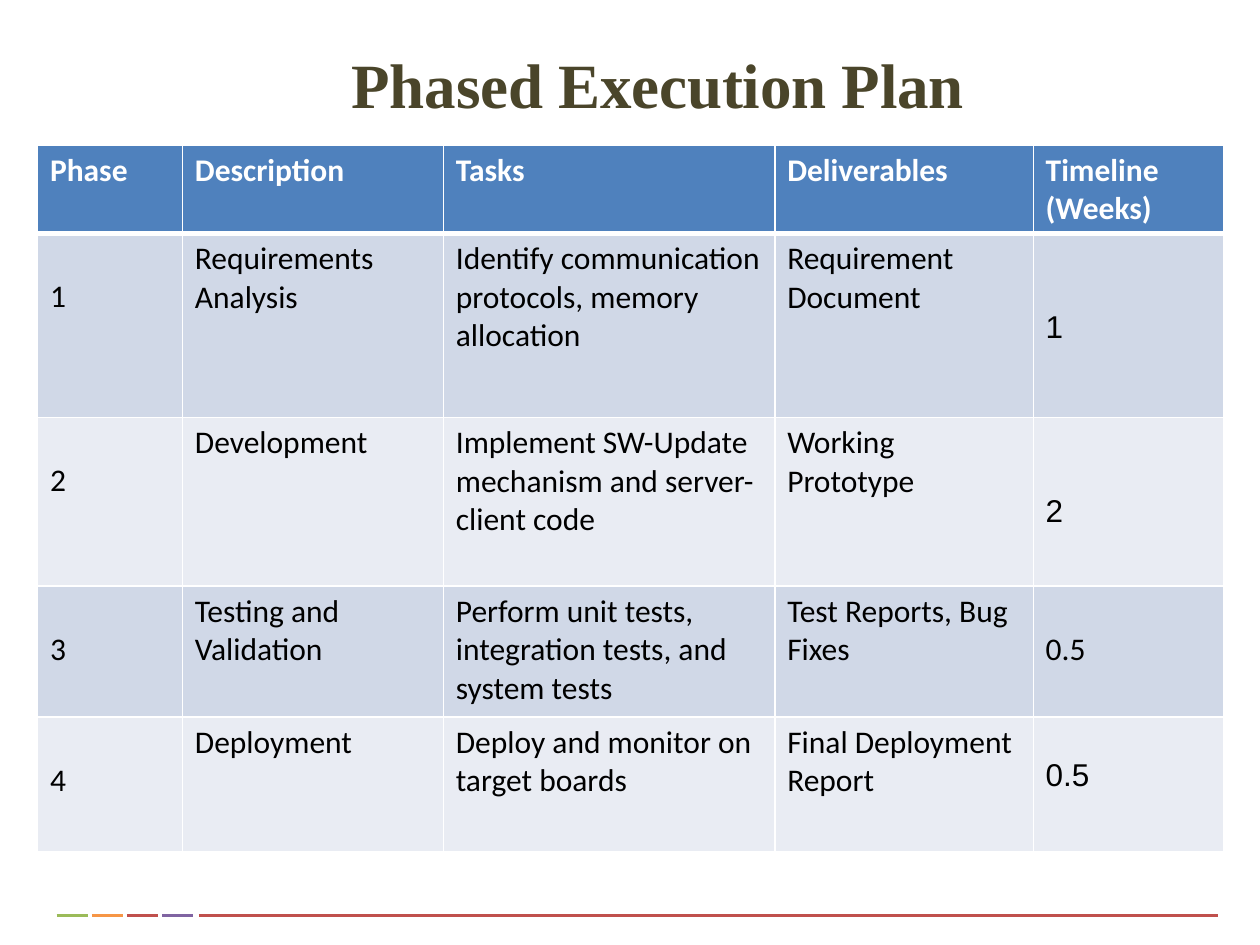
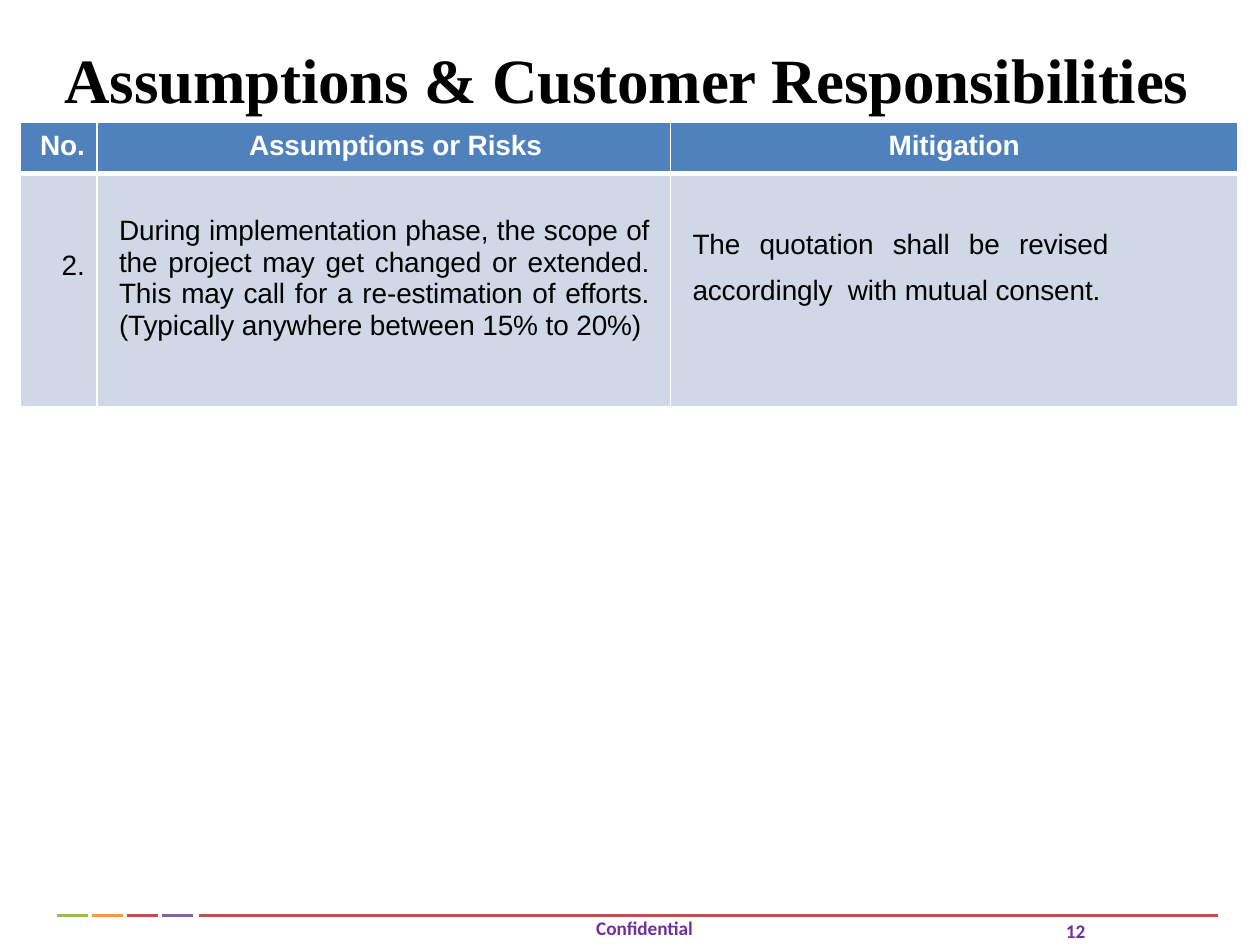
from dataclasses import dataclass, replace
from typing import Optional

from lxml import etree
from pptx import Presentation
from pptx import util as u
from pptx.dml.color import RGBColor
from pptx.enum import shapes, text
from pptx.oxml import ns

ALIGN = text.PP_ALIGN


@dataclass(frozen=True)
class Theme:
    white: str = "FFFFFF"
    black: str = "000000"
    olive: str = "4A452A"
    purple: str = "7030A0"
    header: str = "4F81BD"
    bands: tuple[str, str] = ("D0D8E7", "E9ECF3")
    rule: str = "C0504D"
    dashes: tuple[str, ...] = ("9BBB59", "F69646", "C0504D", "8064A2")
    title_font: str = "Times New Roman"
    body_font: str = "Calibri"
    plain_font: str = "Arial"
    title_size: float = 36
    phase_size: float = 18
    risk_size: float = 16
    footer_size: float = 11
    rule_width: float = 2
    grid_width: float = 0.96
    header_rule_width: float = 3


THEME = Theme()


@dataclass(frozen=True)
class TextStyle:
    font: str
    size: float
    color: str
    bold: bool = False
    align: ALIGN = ALIGN.LEFT
    line_points: Optional[float] = None
    tracking: int = 0


@dataclass(frozen=True)
class Box:
    left: float
    top: float
    width: float
    height: float


@dataclass(frozen=True)
class Cell:
    text: str
    style: TextStyle
    top: float = 0.13
    left: float = 0.25
    right: float = 0.25


@dataclass(frozen=True)
class Grid:
    left: float
    top: float
    columns: tuple[float, ...]
    rows: tuple[float, ...]
    cells: list[list[Cell]]


TITLE = TextStyle(THEME.title_font, THEME.title_size, THEME.black, True, tracking=-10)
FOOTER = TextStyle(THEME.body_font, THEME.footer_size, THEME.purple, True,
                   line_points=11.4, tracking=-5)
PHASE = TextStyle(THEME.body_font, THEME.phase_size, THEME.black)
PHASE_PLAIN = replace(PHASE, font=THEME.plain_font)
PHASE_HEADER = replace(PHASE, color=THEME.white, bold=True)
RISK = TextStyle(THEME.plain_font, THEME.risk_size, THEME.black, tracking=-5)
RISK_HEADER = replace(RISK, color=THEME.white, bold=True, line_points=18.9)


def write_text(frame, content: str, style: TextStyle) -> None:
    paragraph = frame.paragraphs[0]
    paragraph.alignment = style.align
    if style.line_points:
        paragraph.line_spacing = u.Pt(style.line_points)
    run = paragraph.add_run()
    run.text = content
    run.font.name = style.font
    run.font.size = u.Pt(style.size)
    run.font.bold = style.bold
    run.font.color.rgb = RGBColor.from_string(style.color)
    if style.tracking:
        run._r.get_or_add_rPr().set("spc", str(style.tracking))


def add_text(slide, box: Box, content: str, style: TextStyle) -> None:
    shape = slide.shapes.add_textbox(u.Cm(box.left), u.Cm(box.top),
                                     u.Cm(box.width), u.Cm(box.height))
    frame = shape.text_frame
    frame.word_wrap = True
    frame.margin_left = frame.margin_right = frame.margin_top = frame.margin_bottom = 0
    write_text(frame, content, style)


def add_rule(slide, left: float, width: float, color: str) -> None:
    height = u.Cm(18.46)
    line = slide.shapes.add_connector(shapes.MSO_CONNECTOR.STRAIGHT, u.Cm(left), height,
                                      u.Cm(left + width), height)
    line.line.color.rgb = RGBColor.from_string(color)
    line.line.width = u.Pt(THEME.rule_width)
    etree.SubElement(line._element.spPr, ns.qn("a:effectLst"))


def add_footer_rules(slide) -> None:
    add_rule(slide, 4.01, 20.55, THEME.rule)
    for index, color in enumerate(THEME.dashes):
        add_rule(slide, 1.14 + 0.71 * index, 0.63, color)


def set_borders(cell, row: int) -> None:
    properties = cell._tc.get_or_add_tcPr()
    widths = dict.fromkeys(("lnL", "lnR", "lnT", "lnB"), THEME.grid_width)
    if row == 0:
        widths["lnB"] = THEME.header_rule_width
    elif row == 1:
        widths["lnT"] = THEME.header_rule_width
    for side, width in widths.items():
        line = etree.SubElement(properties, ns.qn(f"a:{side}"), w=str(u.Pt(width)))
        fill = etree.SubElement(line, ns.qn("a:solidFill"))
        etree.SubElement(fill, ns.qn("a:srgbClr"), val=THEME.white)


def add_grid(slide, grid: Grid) -> None:
    frame = slide.shapes.add_table(len(grid.rows), len(grid.columns), u.Cm(grid.left),
                                   u.Cm(grid.top), u.Cm(sum(grid.columns)),
                                   u.Cm(sum(grid.rows)))
    table = frame.table
    for column, width in zip(table.columns, grid.columns):
        column.width = u.Cm(width)
    for row, height in zip(table.rows, grid.rows):
        row.height = u.Cm(height)
    for row_index, row_cells in enumerate(grid.cells):
        color = THEME.bands[(row_index - 1) % 2] if row_index else THEME.header
        for column_index, content in enumerate(row_cells):
            cell = table.cell(row_index, column_index)
            set_borders(cell, row_index)
            cell.fill.solid()
            cell.fill.fore_color.rgb = RGBColor.from_string(color)
            cell.margin_top = u.Cm(content.top)
            cell.margin_left = u.Cm(content.left)
            cell.margin_right = u.Cm(content.right)
            write_text(cell.text_frame, content.text, content.style)


def phase_row(number: str, description: str, tasks: str, deliverable: str,
              weeks: Cell) -> list[Cell]:
    middle = [Cell(content, PHASE) for content in (description, tasks, deliverable)]
    return [Cell(number, PHASE, top=0.9), *middle, weeks]


def build_plan(slide) -> None:
    add_text(slide, Box(2.49, 0.91, 21.54, 1.52), "Phased Execution Plan",
             replace(TITLE, color=THEME.olive, align=ALIGN.CENTER))
    headings = ("Phase", "Description", "Tasks", "Deliverables", "Timeline (Weeks)")
    add_grid(slide, Grid(
        0.76, 2.92, (2.92, 5.26, 6.68, 5.21, 3.84), (1.78, 3.71, 3.4, 2.64, 2.72),
        [
            [Cell(heading, PHASE_HEADER) for heading in headings],
            phase_row("1", "Requirements Analysis",
                      "Identify communication protocols, memory allocation",
                      "Requirement Document", Cell("1", PHASE_PLAIN, top=1.55)),
            phase_row("2", "Development",
                      "Implement SW-Update mechanism and server-client code",
                      "Working Prototype", Cell("2", PHASE_PLAIN, top=1.55)),
            phase_row("3", "Testing and Validation",
                      "Perform unit tests, integration tests, and system tests",
                      "Test Reports, Bug Fixes", Cell("0.5", PHASE, top=0.9)),
            phase_row("4", "Deployment", "Deploy and monitor on target boards",
                      "Final Deployment Report", Cell("0.5", PHASE_PLAIN, top=0.83)),
        ]))


def build_assumptions(slide) -> None:
    add_text(slide, Box(1.3, 0.82, 23.2, 1.6), "Assumptions & Customer Responsibilities",
             TITLE)
    add_text(slide, Box(12.02, 18.54, 2.2, 0.5), "Confidential", FOOTER)
    add_text(slide, Box(21.49, 18.59, 0.6, 0.45), "12", FOOTER)
    add_grid(slide, Grid(
        0.41, 2.46, (1.55, 11.56, 11.43), (1.04, 4.7),
        [
            [
                Cell("No.", replace(RISK_HEADER, align=ALIGN.RIGHT)),
                Cell("Assumptions or Risks", RISK_HEADER, left=3.06),
                Cell("Mitigation", replace(RISK_HEADER, align=ALIGN.CENTER)),
            ],
            [
                Cell("2.", replace(RISK, align=ALIGN.RIGHT), top=1.55),
                Cell("During implementation phase, the scope of the project may get "
                     "changed or extended. This may call for a re-estimation of "
                     "efforts. (Typically anywhere between 15% to 20%)",
                     replace(RISK, align=ALIGN.JUSTIFY, line_points=18.1),
                     top=0.83, left=0.44, right=0.42),
                Cell("The quotation shall be revised accordingly  with mutual consent.",
                     replace(RISK, align=ALIGN.JUSTIFY, line_points=26.3),
                     top=0.83, left=0.44, right=2.6),
            ],
        ]))


def main() -> None:
    presentation = Presentation()
    presentation.slide_width = u.Cm(25.4)
    presentation.slide_height = u.Cm(19.05)
    for build in (build_plan, build_assumptions):
        slide = presentation.slides.add_slide(presentation.slide_layouts[6])
        add_footer_rules(slide)
        build(slide)
    presentation.save("out.pptx")


if __name__ == "__main__":
    main()
